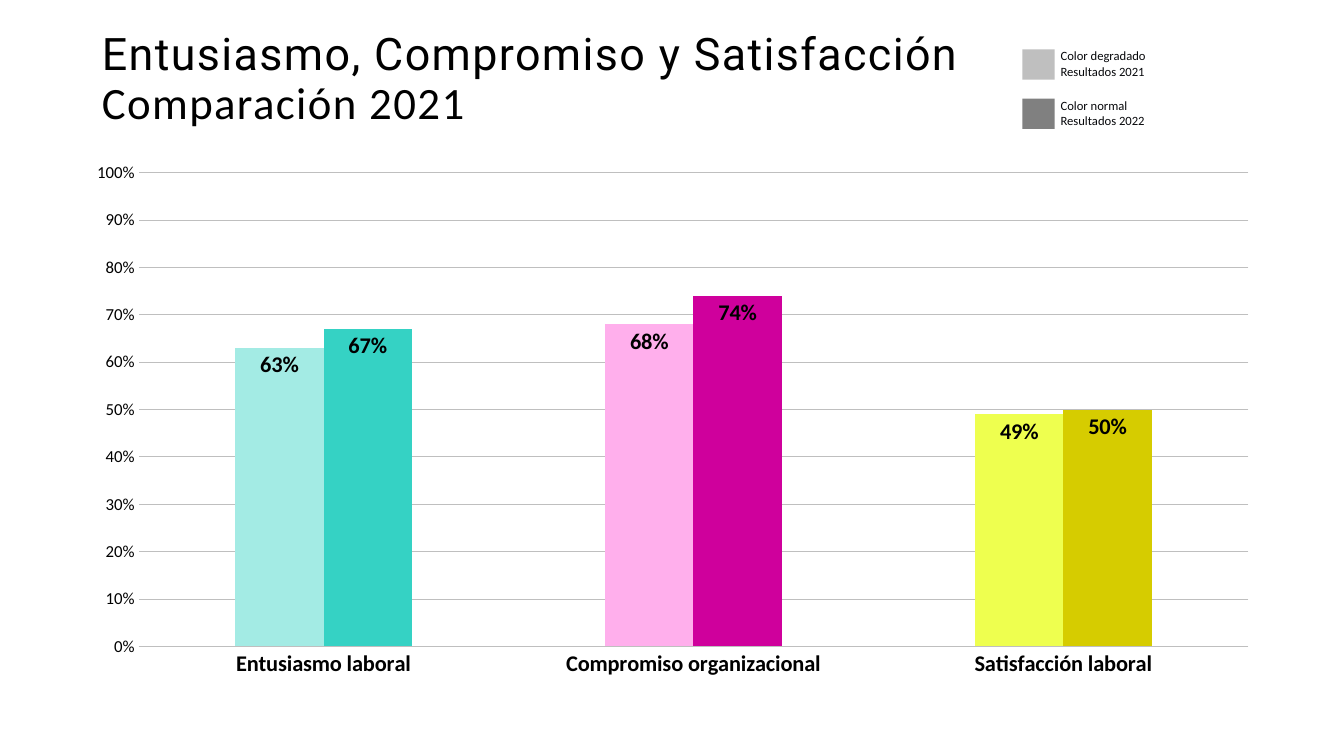
from lxml import etree
from pptx import Presentation
from pptx.chart.data import CategoryChartData
from pptx.dml.color import RGBColor
from pptx.enum.chart import XL_CHART_TYPE as ChartType, XL_LABEL_POSITION as LabelPos, XL_TICK_MARK as Tick
from pptx.enum.shapes import MSO_SHAPE as Shape
from pptx.enum.text import MSO_ANCHOR as Anchor, PP_ALIGN as Align
from pptx.oxml import parse_xml
from pptx.util import Inches, Pt

COLORS = {
    "black": "000000", "legend_text": "07080B", "grid": "BFBFBF",
    "light_gray": "BFBFBF", "dark_gray": "808080",
    "light_teal": "A3EBE4", "teal": "35D2C4",
    "pink": "FFAFEC", "magenta": "CF009C",
    "yellow": "EEFF4F", "mustard": "D6CC00", "lime": "C3D600",
}
CATEGORIES = ["Entusiasmo laboral", "Compromiso organizacional", "Satisfacción laboral"]
SERIES = [
    ("2021", (0.63, 0.68, 0.49), "teal", ("light_teal", "pink", "yellow")),
    ("2022", (0.67, 0.74, 0.5), "lime", ("teal", "magenta", "mustard")),
]
LEGEND = [
    ("light_gray", "Color degradado", "Resultados 2021"),
    ("dark_gray", "Color normal", "Resultados 2022"),
]
CHART_NS = "http://schemas.openxmlformats.org/drawingml/2006/chart"


def rgb(name):
    return RGBColor.from_string(COLORS[name])


def set_font(font, size, color="black", name="Calibri", bold=False):
    font.size = Pt(size)
    font.name = name
    font.bold = bold
    font.color.rgb = rgb(color)


def add_run(p, text, size, color="black", name="Calibri"):
    r = p.add_run()
    r.text = text
    set_font(r.font, size, color, name)
    return r


def fill_solid(fmt, color):
    fmt.fill.solid()
    fmt.fill.fore_color.rgb = rgb(color)


def clear_margins(tf):
    tf.margin_left = tf.margin_right = tf.margin_top = tf.margin_bottom = 0


def add_title(s, x, y, w, h):
    sp = s.shapes.title
    sp.left, sp.top, sp.width, sp.height = (Inches(v) for v in (x, y, w, h))
    tf = sp.text_frame
    tf.word_wrap = True
    tf.vertical_anchor = Anchor.MIDDLE
    clear_margins(tf)
    p = tf.paragraphs[0]
    p.alignment = Align.LEFT
    p.line_spacing = 0.9
    first = add_run(p, "Entusiasmo, Compromiso y Satisfacción", 32, name="Roboto")
    p.add_line_break()
    second = add_run(p, "Comparación 2021", 32)
    for r in (first, second):
        r.font._element.set("spc", "100")


def add_legend(s, x, y, step):
    for i, (color, *lines) in enumerate(LEGEND):
        top = y + i * step
        sp = s.shapes.add_shape(Shape.RECTANGLE, Inches(x), Inches(top), Inches(0.32), Inches(0.3))
        sp.shadow.inherit = False
        fill_solid(sp, color)
        sp.line.fill.background()
        box = s.shapes.add_textbox(Inches(x + 0.28), Inches(top - 0.06), Inches(2.22), Inches(0.4))
        tf = box.text_frame
        tf.word_wrap = True
        for j, text in enumerate(lines):
            p = tf.add_paragraph() if j else tf.paragraphs[0]
            add_run(p, text, 9, "legend_text")


def set_plot_layout(chart, x, y, w, h):
    plot_area = chart.element.find(f".//{{{CHART_NS}}}plotArea")
    old = plot_area.find(f"{{{CHART_NS}}}layout")
    if old is not None:
        plot_area.remove(old)
    layout = parse_xml(f'<c:layout xmlns:c="{CHART_NS}"><c:manualLayout/></c:layout>')
    settings = [("layoutTarget", "inner"), ("xMode", "edge"), ("yMode", "edge"),
                ("x", x), ("y", y), ("w", w), ("h", h)]
    for tag, val in settings:
        etree.SubElement(layout[0], f"{{{CHART_NS}}}{tag}").set("val", str(val))
    plot_area.insert(0, layout)


def format_axes(chart):
    cat, val = chart.category_axis, chart.value_axis
    for axis in (cat, val):
        axis.major_tick_mark = axis.minor_tick_mark = Tick.NONE
    set_font(cat.tick_labels.font, 16, bold=True)
    cat.format.line.color.rgb = rgb("grid")
    cat.format.line.width = Pt(0.75)
    set_font(val.tick_labels.font, 12)
    val.tick_labels.number_format = "0%"
    val.tick_labels.number_format_is_linked = False
    val.minimum_scale, val.maximum_scale, val.major_unit = 0, 1, 0.1
    val.format.line.fill.background()
    val.major_gridlines.format.line.color.rgb = rgb("grid")
    val.major_gridlines.format.line.width = Pt(0.5)


def add_comparison_chart(s, x, y, w, h):
    data = CategoryChartData(number_format="0%")
    data.categories = CATEGORIES
    for name, values, _, _ in SERIES:
        data.add_series(name, values)
    frame = s.shapes.add_chart(ChartType.COLUMN_CLUSTERED, Inches(x), Inches(y), Inches(w), Inches(h), data)
    chart = frame.chart
    chart.has_legend = False
    chart.has_title = False
    set_font(chart.font, 10)
    format_axes(chart)
    set_plot_layout(chart, 0.055, 0.04, 0.925, 0.88)
    plot = chart.plots[0]
    plot.gap_width, plot.overlap = 219, 0
    plot.vary_by_categories = False
    for series, (_, _, color, point_colors) in zip(plot.series, SERIES):
        fill_solid(series.format, color)
        for i, point_color in enumerate(point_colors):
            fill_solid(series.points[i].format, point_color)
        labels = series.data_labels
        labels.show_value = True
        labels.position = LabelPos.INSIDE_END
        labels.number_format = "0%"
        labels.number_format_is_linked = False
        set_font(labels.font, 16, bold=True)


def main():
    prs = Presentation()
    prs.slide_width, prs.slide_height = Inches(13.33), Inches(7.5)
    s = prs.slides.add_slide(prs.slide_layouts[5])
    add_title(s, 1.01, 0.27, 8.56, 1.06)
    add_legend(s, 10.14, 0.49, 0.49)
    add_comparison_chart(s, 0.72, 1.5, 11.9, 5.34)
    prs.save("out.pptx")


if __name__ == "__main__":
    main()
